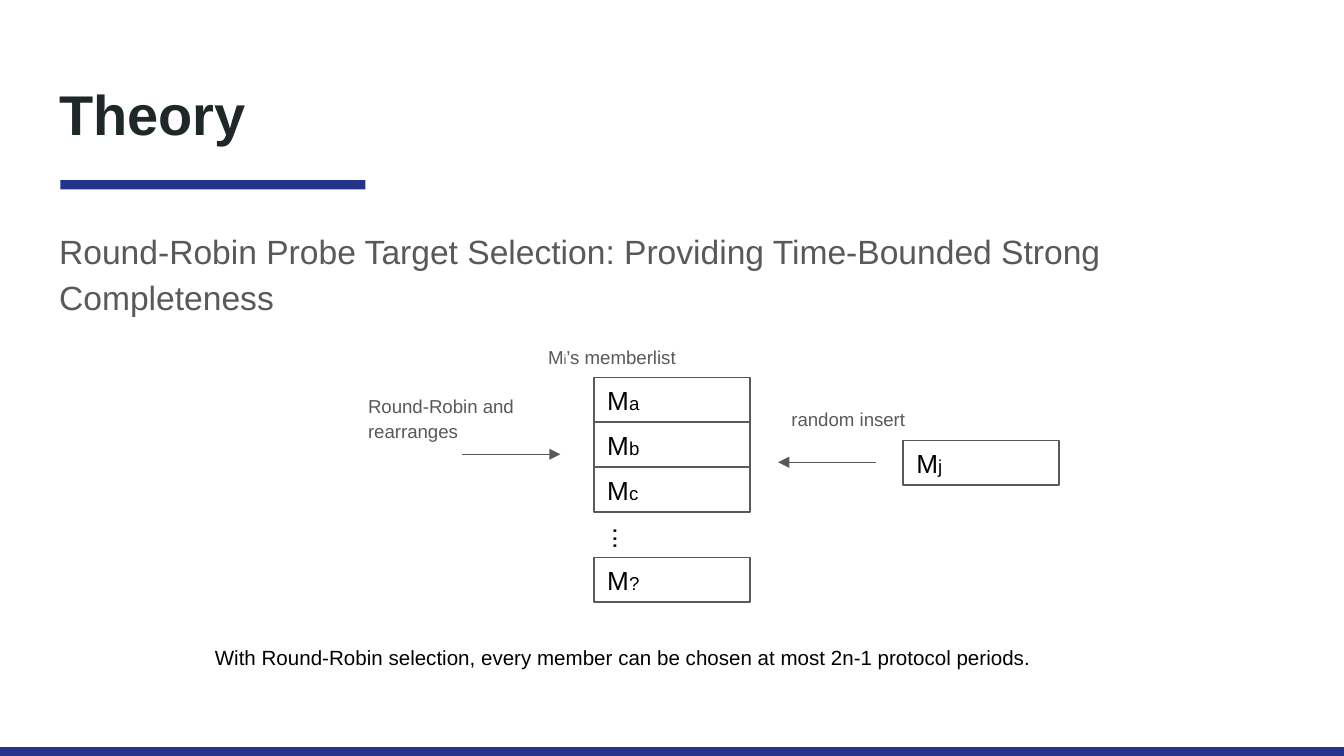
from dataclasses import dataclass

from lxml import etree
from pptx import Presentation
from pptx.dml.color import RGBColor
from pptx.enum.shapes import MSO_CONNECTOR, MSO_SHAPE
from pptx.enum.text import MSO_ANCHOR, MSO_AUTO_SIZE, PP_ALIGN
from pptx.oxml.ns import qn
from pptx.util import Inches, Pt

RECTANGLE = MSO_SHAPE.RECTANGLE
STRAIGHT = MSO_CONNECTOR.STRAIGHT
TOP, MIDDLE = MSO_ANCHOR.TOP, MSO_ANCHOR.MIDDLE
LEFT = PP_ALIGN.LEFT
NO_AUTOFIT = MSO_AUTO_SIZE.NONE

FONT = "Arial"
BLUE, INK, GRAY, BLACK, WHITE = "23348A", "202729", "595959", "000000", "FFFFFF"
MEMBER_WIDTH, MEMBER_HEIGHT = 1.16, 0.33
LIST_LEFT, LIST_TOP, LIST_LAST_TOP = 4.42, 2.81, 4.15
ROW_PITCH = (LIST_LAST_TOP - LIST_TOP) / 4


@dataclass
class Span:
    text: str
    size: float


@dataclass
class Label:
    spans: list[Span]
    left: float
    top: float
    width: float
    height: float
    color: str = GRAY
    line_spacing: float = 1.15
    rotation: float = 0


@dataclass
class Member:
    subscript: str
    left: float
    top: float


@dataclass
class Arrow:
    start: float
    end: float
    level: float


def rgb(color: str) -> RGBColor:
    return RGBColor.from_string(color)


def place(shape, left: float, top: float, width: float, height: float) -> None:
    shape.left, shape.top = Inches(left), Inches(top)
    shape.width, shape.height = Inches(width), Inches(height)


def write(shape, spans: list[Span], color: str, anchor=TOP,
          line_spacing: float = 1.0, bold: bool = False) -> None:
    frame = shape.text_frame
    frame.word_wrap = True
    frame.auto_size = NO_AUTOFIT
    frame.vertical_anchor = anchor
    frame.margin_left = frame.margin_right = Inches(0.1)
    frame.margin_top = frame.margin_bottom = Inches(0.1)
    para = frame.paragraphs[0]
    para.alignment = LEFT
    para.line_spacing = line_spacing
    para.space_before = Pt(0)
    for span in spans:
        run = para.add_run()
        run.text = span.text
        run.font.name = FONT
        run.font.size = Pt(span.size)
        run.font.bold = bold
        run.font.color.rgb = rgb(color)


def add_rectangle(page, left: float, top: float, width: float, height: float,
                  fill: str):
    box = page.shapes.add_shape(RECTANGLE, Inches(left), Inches(top),
                                Inches(width), Inches(height))
    box.shadow.inherit = False
    box.fill.solid()
    box.fill.fore_color.rgb = rgb(fill)
    box.line.fill.background()
    return box


def add_member(page, member: Member) -> None:
    box = add_rectangle(page, member.left, member.top,
                        MEMBER_WIDTH, MEMBER_HEIGHT, WHITE)
    box.line.color.rgb = rgb(GRAY)
    box.line.width = Pt(0.75)
    write(box, [Span("M", 14), Span(member.subscript, 10)], BLACK, MIDDLE)


def add_label(page, label: Label) -> None:
    box = page.shapes.add_textbox(Inches(label.left), Inches(label.top),
                                  Inches(label.width), Inches(label.height))
    box.rotation = label.rotation
    write(box, label.spans, label.color, line_spacing=label.line_spacing)


def add_arrow(page, arrow: Arrow) -> None:
    connector = page.shapes.add_connector(
        STRAIGHT, Inches(arrow.start), Inches(arrow.level),
        Inches(arrow.end), Inches(arrow.level))
    connector.line.color.rgb = rgb(GRAY)
    connector.line.width = Pt(0.75)
    properties = connector._element.spPr
    etree.SubElement(properties.find(qn("a:ln")), qn("a:tailEnd"), type="triangle")
    etree.SubElement(properties, qn("a:effectLst"))


# Widescreen page, 16 to 9
deck = Presentation()
deck.slide_width = Inches(10)
deck.slide_height = Inches(10 * 9 / 16)
page = deck.slides.add_slide(deck.slide_layouts[1])

# Title underline and footer bar
add_rectangle(page, 0.45, 1.34, 2.27, 0.07, BLUE)
add_rectangle(page, 0, 5.56, 10, 0.07, BLUE)

# Title and body
title, body = page.shapes.title, page.placeholders[1]
place(title, 0.34, 0.49, 9.32, 0.63)
write(title, [Span("Theory", 30)], INK, bold=True)
place(body, 0.34, 1.57, 9.32, 0.94)
write(body, [Span("Round-Robin Probe Target Selection: "
                  "Providing Time-Bounded Strong Completeness", 18)],
      GRAY, line_spacing=1.15)
body_format = body.text_frame.paragraphs[0]._p.get_or_add_pPr()
body_format.set("marL", "0")
body_format.set("indent", "0")
etree.SubElement(body_format, qn("a:buNone"))

# Member list, with the fourth row left for the dots, and the new member
rows = {0: "a", 1: "b", 2: "c", 4: "?"}
members = [Member(subscript, LIST_LEFT, LIST_TOP + row * ROW_PITCH)
           for row, subscript in rows.items()]
members.append(Member("j", 6.72, 3.28))
for member in members:
    add_member(page, member)

# Arrows into the list
for arrow in (Arrow(3.44, 4.17, 3.38), Arrow(6.52, 5.79, 3.44)):
    add_arrow(page, arrow)

# Labels and conclusion
labels = [
    Label([Span("...", 14)], 4.44, 3.81, 0.4, 0.44, BLACK, 1.0, 90),
    Label([Span("Round-Robin and rearranges", 10)], 2.64, 2.81, 1.33, 0.56),
    Label([Span("M", 10), Span("i", 7), Span("’s memberlist", 10)],
          3.98, 2.45, 1.33, 0.37),
    Label([Span("random insert", 10)], 5.79, 2.91, 1.33, 0.37),
    Label([Span("With Round-Robin selection, every member can be chosen "
                "at most 2n-1 protocol periods.", 11)],
          1.5, 4.7, 6.29, 0.39, BLACK, 1.0),
]
for label in labels:
    add_label(page, label)

deck.save("out.pptx")
